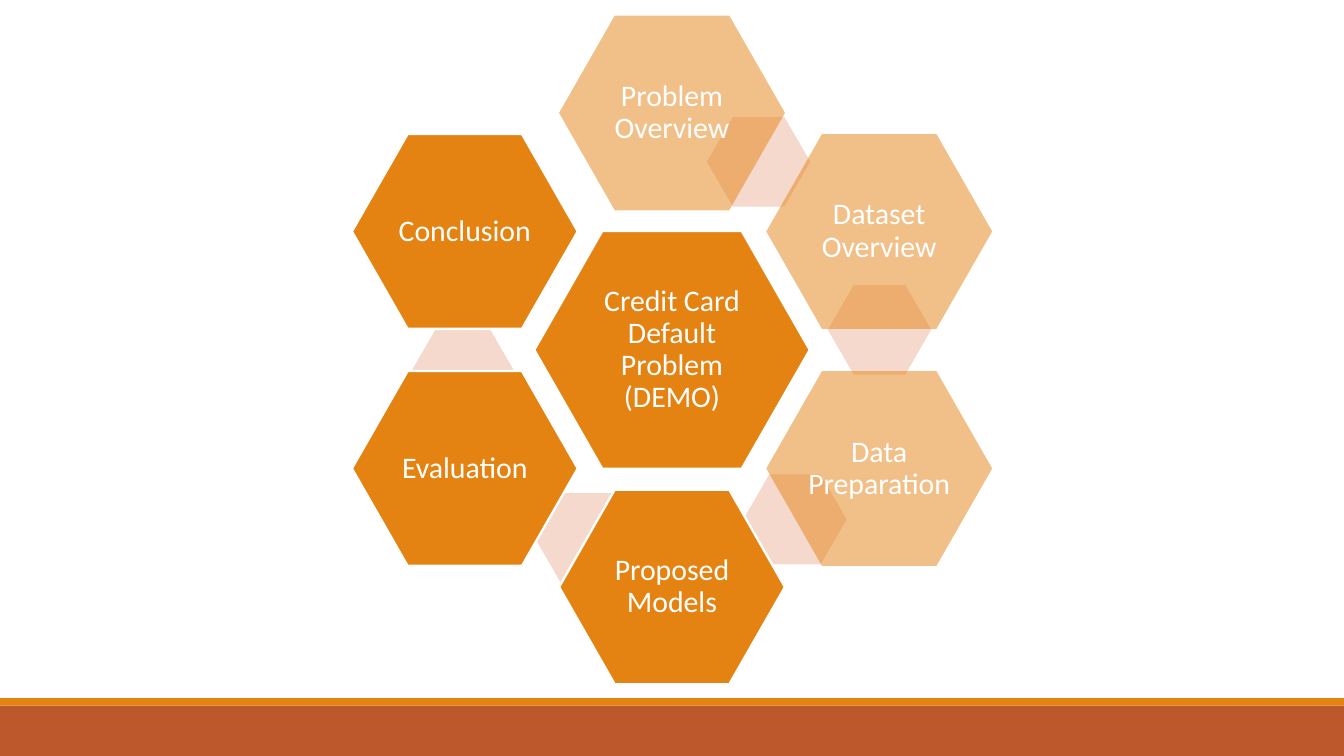
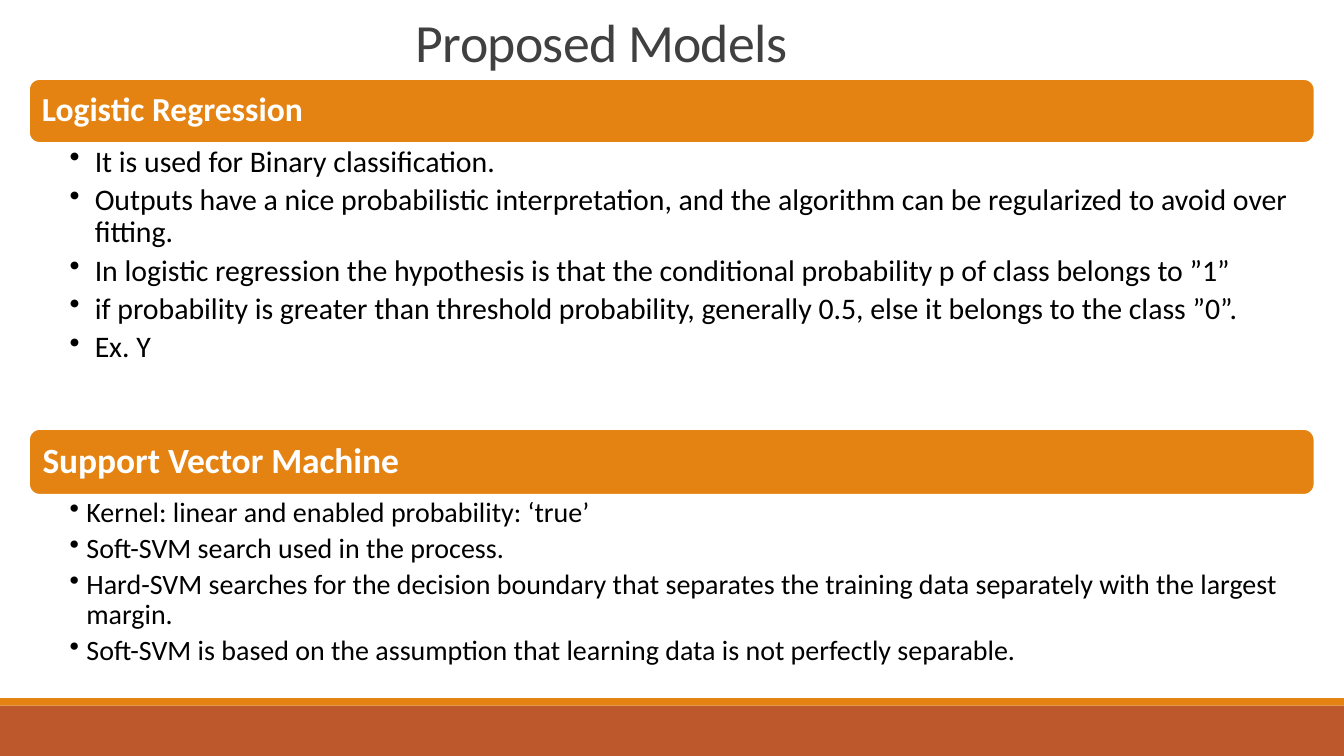
import lxml.etree
import pptx
import pptx.dml.color
import pptx.enum.shapes
import pptx.enum.text
import pptx.oxml.ns
import pptx.util

Pt = pptx.util.Pt
RGB = pptx.dml.color.RGBColor
SHAPE = pptx.enum.shapes.MSO_SHAPE
ALIGN = pptx.enum.text.PP_ALIGN
ANCHOR = pptx.enum.text.MSO_ANCHOR
qn = pptx.oxml.ns.qn

ORANGE = RGB(0xE4, 0x83, 0x12)
RUST = RGB(0xBD, 0x58, 0x2C)
BLUSH = RGB(0xF5, 0xD9, 0xCC)
WHITE = RGB(0xFF, 0xFF, 0xFF)
BLACK = RGB(0x00, 0x00, 0x00)
CHARCOAL = RGB(0x40, 0x40, 0x40)

FONT = "Calibri"
WIDTH, HEIGHT = 720, 405

CENTER_X, CENTER_Y = 360, 187.5
COLUMN_STEP, ROW_STEP = 111, 63.5
CORE_SIZE = (147.6, 127.4)
TOPIC_SIZE = (121, 104.4)
SPACER_SIZE = (55.4, 48.2)

# Topic, column and row offset from the core, translucent, corner of its spacer
TOPICS = [
    ("Problem Overview", 0, -2, True, (378.7, 62.6)),
    ("Dataset Overview", 1, -1, True, (443.5, 152.6)),
    ("Data Preparation", 1, 1, True, (398.2, 254.2)),
    ("Proposed Models", 0, 2, False, (286.6, 264.2)),
    ("Evaluation", -1, 1, False, (220.3, 175)),
    ("Conclusion", -1, -1, False, None),
]

REGRESSION_POINTS = [
    "It is used for Binary classification.",
    "Outputs have a nice probabilistic interpretation, and the algorithm can be "
    "regularized to avoid over fitting.",
    "In logistic regression the hypothesis is that the conditional probability p "
    "of class belongs to ”1”",
    "if probability is greater than threshold probability, generally 0.5, else it "
    "belongs to the class ”0”.",
    "Ex. Y",
]
SVM_POINTS = [
    "Kernel: linear and enabled probability: ‘true’",
    "Soft-SVM search used in the process.",
    "Hard-SVM searches for the decision boundary that separates the training data "
    "separately with the largest margin.",
    "Soft-SVM is based on the assumption that learning data is not perfectly separable.",
]


def write(frame, text, *, size, color, bold=False, align=ALIGN.LEFT, anchor=ANCHOR.MIDDLE,
          insets=(7.2, 3.6, 7.2, 3.6), line_spacing=0.9, space_after=0.35,
          tracking=None, bullet_indent=None):
    """Fill a frame with a string, or with one paragraph per item of a list.

    space_after is a share of the font size; insets run left, top, right, bottom.
    """
    frame.word_wrap = True
    frame.vertical_anchor = anchor
    (frame.margin_left, frame.margin_top,
     frame.margin_right, frame.margin_bottom) = map(Pt, insets)
    lines = [text] if isinstance(text, str) else text
    for index, line in enumerate(lines):
        paragraph = frame.add_paragraph() if index else frame.paragraphs[0]
        paragraph.alignment = align
        paragraph.line_spacing = line_spacing
        paragraph.space_after = Pt(space_after * size)
        if bullet_indent:
            paragraph.level = 1
            properties = paragraph._p.get_or_add_pPr()
            properties.set("marL", str(Pt(bullet_indent)))
            properties.set("indent", str(-Pt(bullet_indent)))
            lxml.etree.SubElement(properties, qn("a:buChar"), char="•")
        run = paragraph.add_run()
        run.text = line
        run.font.name = FONT
        run.font.size = Pt(size)
        run.font.bold = bold
        run.font.color.rgb = color
        if tracking is not None:
            run._r.get_or_add_rPr().set("spc", str(round(tracking * 100)))


class Deck:
    def __init__(self):
        self.presentation = pptx.Presentation()
        self.presentation.slide_width = Pt(WIDTH)
        self.presentation.slide_height = Pt(HEIGHT)
        self.slide = None

    def new_slide(self):
        self.slide = self.presentation.slides.add_slide(self.presentation.slide_layouts[6])
        self.shape(SHAPE.RECTANGLE, 0, 378, WIDTH, 27, RUST)
        self.shape(SHAPE.RECTANGLE, 0, 374, WIDTH, 4, ORANGE)

    def shape(self, kind, left, top, width, height, fill, outlined=False, opacity=None):
        shape = self.slide.shapes.add_shape(kind, Pt(left), Pt(top), Pt(width), Pt(height))
        shape.shadow.inherit = False
        shape.fill.solid()
        shape.fill.fore_color.rgb = fill
        if opacity is not None:
            color = shape._element.spPr.find(qn("a:solidFill")).find(qn("a:srgbClr"))
            lxml.etree.SubElement(color, qn("a:alpha"), val=str(opacity * 1000))
        if outlined:
            shape.line.color.rgb = WHITE
            shape.line.width = Pt(1.25)
        else:
            shape.line.fill.background()
        return shape

    def hexagon(self, text, center_x, center_y, size, translucent=False):
        width, height = size
        hexagon = self.shape(SHAPE.HEXAGON, center_x - width / 2, center_y - height / 2,
                             width, height, ORANGE, outlined=not translucent,
                             opacity=50 if translucent else None)
        hexagon.adjustments[0] = 0.286
        write(hexagon.text_frame, text, size=16, color=WHITE, align=ALIGN.CENTER,
              insets=(1.5,) * 4)

    def spacer(self, left, top):
        spacer = self.shape(SHAPE.HEXAGON, left, top, *SPACER_SIZE, BLUSH)
        spacer.adjustments[0] = 0.289

    def text_box(self, text, left, top, width, height, **style):
        box = self.slide.shapes.add_textbox(Pt(left), Pt(top), Pt(width), Pt(height))
        write(box.text_frame, text, **style)

    def title(self, text):
        self.text_box(text, 0, 8.6, 644.4, 33.1, size=28.8, color=CHARCOAL,
                      align=ALIGN.CENTER, anchor=ANCHOR.BOTTOM, line_spacing=0.65,
                      space_after=0, tracking=-0.4)

    def model(self, heading, points, top, bar_height, body_height,
              heading_size, body_size, bullet_indent):
        """A heading bar with its bullet list directly below."""
        left, width = 15.4, 689
        bar = self.shape(SHAPE.ROUNDED_RECTANGLE, left, top, width, bar_height,
                         ORANGE, outlined=True)
        write(bar.text_frame, heading, size=heading_size, color=WHITE, bold=True,
              insets=(heading_size * 0.3,) * 4)
        self.text_box(points, left, top + bar_height, width, body_height,
                      size=body_size, color=BLACK, anchor=ANCHOR.TOP,
                      insets=(21.9, 1.9, 11, 1.9), space_after=0.2,
                      bullet_indent=bullet_indent)


def main():
    deck = Deck()

    deck.new_slide()
    deck.hexagon("Credit Card Default Problem (DEMO)", CENTER_X, CENTER_Y, CORE_SIZE)
    for topic, column, row, translucent, spacer_corner in TOPICS:
        if spacer_corner:
            deck.spacer(*spacer_corner)
        deck.hexagon(topic, CENTER_X + column * COLUMN_STEP, CENTER_Y + row * ROW_STEP,
                     TOPIC_SIZE, translucent)

    deck.new_slide()
    deck.title("Proposed Models")
    deck.model("Logistic Regression", REGRESSION_POINTS, top=42.2, bar_height=34.5,
               body_height=147, heading_size=18, body_size=16, bullet_indent=13.5)
    deck.model("Support Vector Machine", SVM_POINTS, top=229.7, bar_height=35.6,
               body_height=97.2, heading_size=19, body_size=15, bullet_indent=9)

    deck.presentation.save("out.pptx")


if __name__ == "__main__":
    main()
